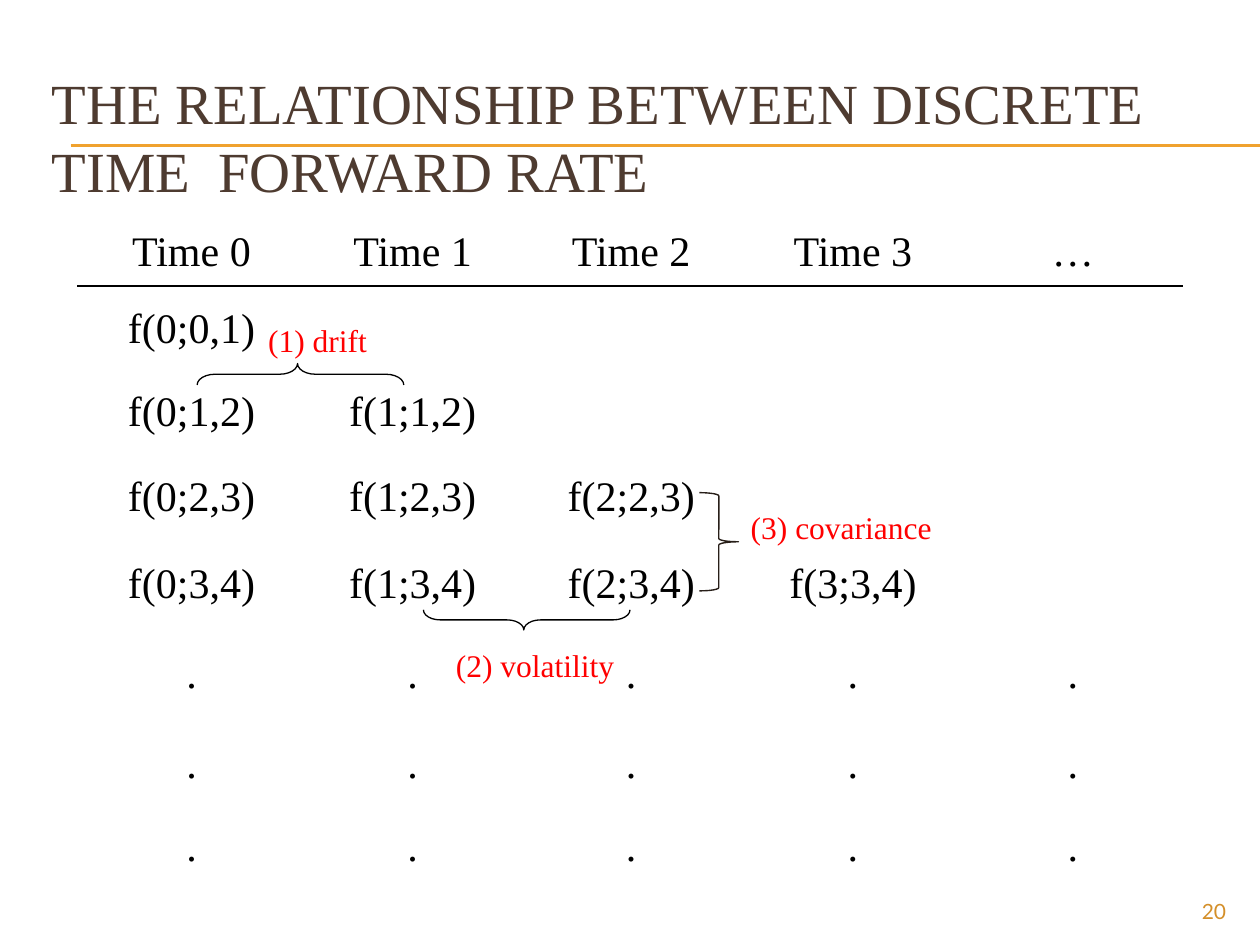
import dataclasses
import typing

import lxml.etree
import pptx
import pptx.dml.color
import pptx.enum.shapes
import pptx.enum.text
import pptx.oxml.ns
import pptx.util

ALIGN = pptx.enum.text.PP_ALIGN
SERIF = "Times New Roman"
BLACK, RED, GOLD = "000000", "FF0000", "F0A22E"
WIDE, HIGH = 10, 7.5
COLS, ROWS = 100, 75  # page grid


class Box(typing.NamedTuple):
    """Place on the page grid, in columns and rows."""
    left: float
    top: float
    width: float
    height: float

    def emu(self) -> tuple:
        return (across(self.left), down(self.top),
                across(self.width), down(self.height))


@dataclasses.dataclass
class Label:
    text: str
    box: Box
    size: float = 18
    font: str = SERIF
    color: str = RED
    align: ALIGN = ALIGN.LEFT


@dataclasses.dataclass
class Brace:
    box: Box
    turn: int = 0
    curl: float = 0.083
    tip: float = 0.5
    color: str = BLACK
    weight: float = 0.75


LABELS = [
    Label("(1) drift", Box(20.3, 25, 12.5, 4)),
    Label("(2) volatility", Box(35.2, 50.8, 14.8, 4)),
    Label("(3) covariance", Box(58.6, 39.8, 17.2, 4)),
    Label("20", Box(90, 70.8, 8.3, 2.7), 12, "Lato", "D48F29", ALIGN.RIGHT),
]
BRACES = [
    Brace(Box(41, 41, 1.6, 16.4), 90, 0.835, 0.514),
    Brace(Box(23, 21.5, 1.7, 16.4), 270, 0.835, 0.486),
    Brace(Box(55.5, 39.1, 3.1, 7.8), color="271E18", weight=0.79),
]
TABLE = Box(6.2, 17.2, 87.5, 52.9)
WIDTHS = [18, 17.1, 17.6, 17.6, 17.3]
HEIGHTS = [5.5, 6.7, 6.6, 6.9, 6.9, 7.4, 6.9, 6.2]
RATES = 4
DOTS = 3


def across(cols: float) -> int:
    return pptx.util.Inches(cols * WIDE / COLS)


def down(rows: float) -> int:
    return pptx.util.Inches(rows * HIGH / ROWS)


def paint(color: str) -> pptx.dml.color.RGBColor:
    return pptx.dml.color.RGBColor.from_string(color)


def style(par, size: float, font: str, color: str, align: ALIGN) -> None:
    par.alignment = align
    par.font.size = pptx.util.Pt(size)
    par.font.name = font
    par.font.color.rgb = paint(color)


def add_rule(slide, row: float) -> None:
    line = slide.shapes.add_connector(
        pptx.enum.shapes.MSO_CONNECTOR.STRAIGHT,
        across(5.6), down(row), across(COLS), down(row))
    line.line.color.rgb = paint(GOLD)
    line.line.width = pptx.util.Pt(0.75)
    lxml.etree.SubElement(line._element.spPr,
                          pptx.oxml.ns.qn("a:effectLst"))


def set_title(slide) -> None:
    title = slide.shapes.title
    title.left, title.top, title.width, title.height = Box(
        3.1, 6.2, 95, 9.2).emu()
    frame = title.text_frame
    frame.text = "THE RELATIONSHIP BETWEEN DISCRETE TIME  FORWARD RATE"
    frame.auto_size = pptx.enum.text.MSO_AUTO_SIZE.NONE
    frame.vertical_anchor = pptx.enum.text.MSO_ANCHOR.MIDDLE
    style(frame.paragraphs[0], 32.4, SERIF, "4E3B30", ALIGN.LEFT)
    slide.shapes._spTree.append(title._element)  # in front of the rules


def add_label(slide, label: Label) -> None:
    frame = slide.shapes.add_textbox(*label.box.emu()).text_frame
    frame.word_wrap = True
    frame.text = label.text
    style(frame.paragraphs[0], label.size, label.font, label.color,
          label.align)


def add_brace(slide, brace: Brace) -> None:
    shape = slide.shapes.add_shape(
        pptx.enum.shapes.MSO_SHAPE.RIGHT_BRACE, *brace.box.emu())
    shape.rotation = brace.turn
    shape.adjustments[0] = brace.curl
    shape.adjustments[1] = brace.tip
    shape.shadow.inherit = False
    shape.fill.background()
    shape.line.color.rgb = paint(brace.color)
    shape.line.width = pptx.util.Pt(brace.weight)


def add_edge(cell, side: str) -> None:
    props = cell._tc.get_or_add_tcPr()
    edge = pptx.oxml.parse_xml(
        f'<a:{side} {pptx.oxml.ns.nsdecls("a")} w="{pptx.util.Pt(1)}">'
        f'<a:solidFill><a:srgbClr val="{BLACK}"/></a:solidFill></a:{side}>')
    props.insert(0, edge)


def fill_cell(cell, text: str) -> None:
    cell.fill.background()
    cell.vertical_anchor = pptx.enum.text.MSO_ANCHOR.MIDDLE
    cell.margin_left = cell.margin_right = cell.margin_top = across(0.1)
    cell.margin_bottom = 0
    cell.text = text
    style(cell.text_frame.paragraphs[0], 24, SERIF, BLACK, ALIGN.CENTER)


def grid_text() -> list[list[str]]:
    """Header, triangle of forward rates, then rows of dots."""
    size = len(WIDTHS)
    head = [f"Time {time}" for time in range(RATES)] + ["…"]
    rates = [[f"f({time};{start},{start + 1})" if time <= start else ""
              for time in range(size)] for start in range(RATES)]
    return [head] + rates + [["."] * size] * DOTS


def add_rates(slide) -> None:
    table = slide.shapes.add_table(
        len(HEIGHTS), len(WIDTHS), *TABLE.emu()).table
    table.first_row = table.horz_banding = False
    for col, width in zip(table.columns, WIDTHS):
        col.width = across(width)
    for row, height in zip(table.rows, HEIGHTS):
        row.height = down(height)
    for i, texts in enumerate(grid_text()):
        for j, text in enumerate(texts):
            cell = table.cell(i, j)
            fill_cell(cell, text)
            if i < 2:
                add_edge(cell, "lnT" if i else "lnB")


def main() -> None:
    deck = pptx.Presentation()
    deck.slide_width = pptx.util.Inches(WIDE)
    deck.slide_height = pptx.util.Inches(HIGH)
    slide = deck.slides.add_slide(deck.slide_layouts.get_by_name("Title Only"))
    for row in (11.5, 11.6):
        add_rule(slide, row)
    set_title(slide)
    add_rates(slide)
    for label in LABELS:
        add_label(slide, label)
    for brace in BRACES:
        add_brace(slide, brace)
    deck.save("out.pptx")


if __name__ == "__main__":
    main()
